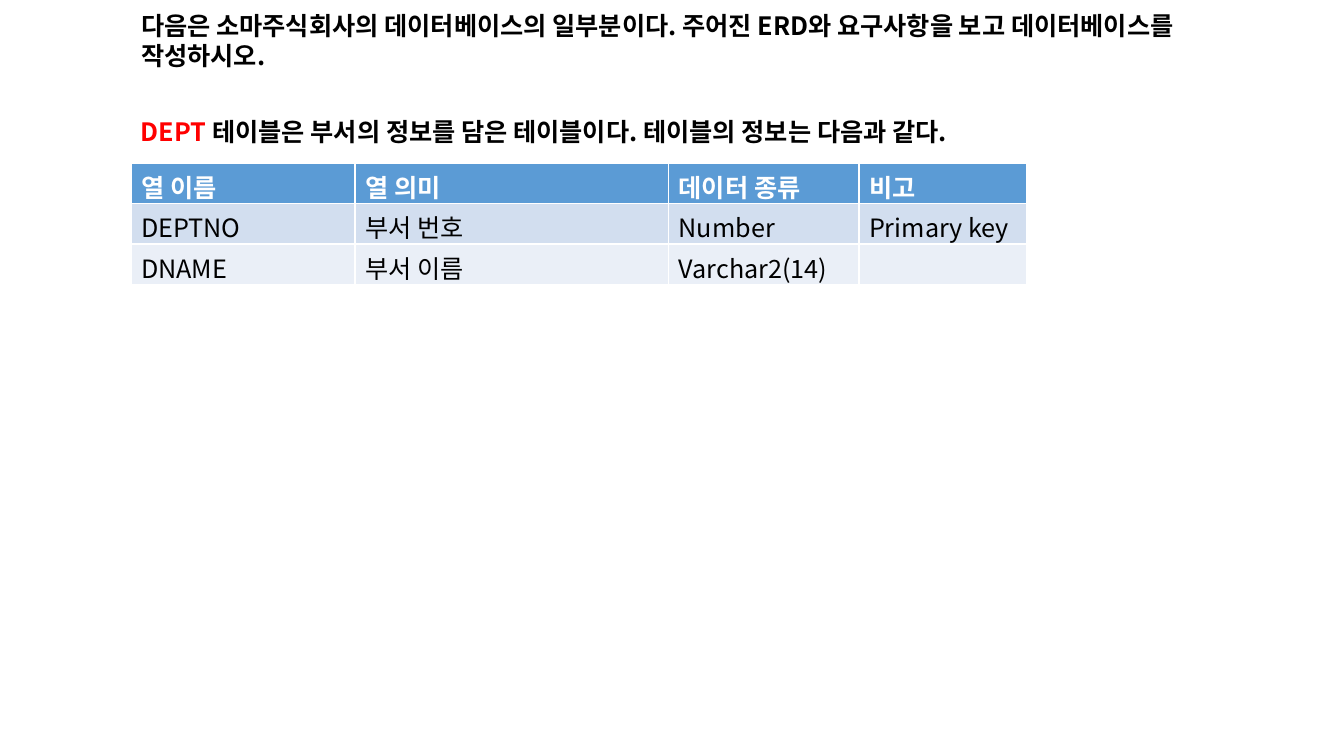
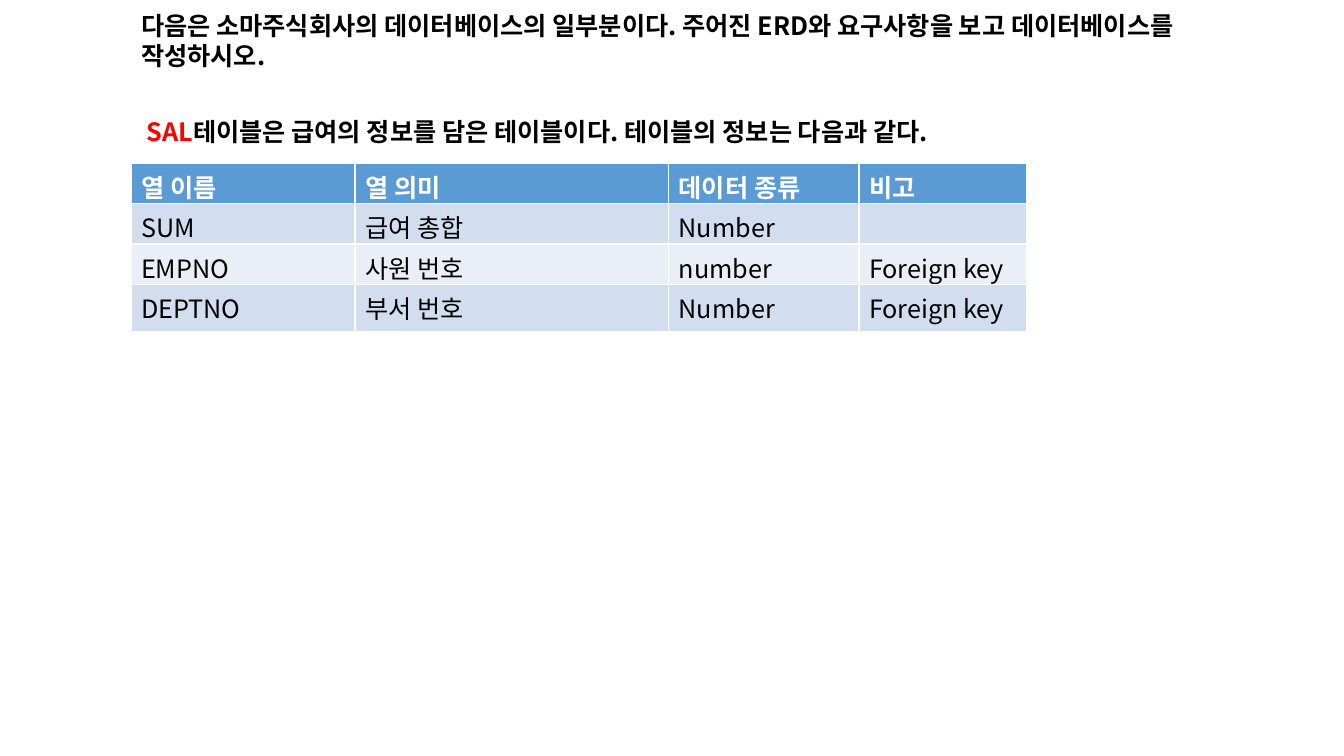
from pptx import Presentation
from pptx.dml.color import RGBColor
from pptx.enum.text import MSO_ANCHOR, MSO_AUTO_SIZE, PP_ALIGN
from pptx.util import Inches, Pt
from lxml.etree import SubElement
from pptx.oxml.ns import qn

COLORS = {
    "text": "000000",
    "accent": "FF0000",
    "header_text": "FFFFFF",
    "header": "5B9BD5",
    "band_dark": "D2DEEF",
    "band_light": "EAEFF7",
}
TITLE = "다음은 소마주식회사의 데이터베이스의 일부분이다. 주어진 ERD와 요구사항을 보고 데이터베이스를 작성하시오."
HEADERS = ("열 이름", "열 의미", "데이터 종류", "비고")
TABLE_COLUMNS = (2, 2.8, 1.7, 1.5)
LEFT, TEXT_WIDTH = 1.17, 9.72
ROW, LAST_ROW = 3.5, 4.7


class SlideBuilder:
    font = "Noto Sans CJK KR"
    size = Pt(18)

    def __init__(self, deck):
        self.deck = deck
        self.column = deck.slide_width / 12
        self.row = deck.slide_height / 75

    def across(self, columns):
        return round(columns * self.column)

    def down(self, rows):
        return round(rows * self.row)

    def color(self, name):
        return RGBColor.from_string(COLORS[name])

    def add_page(self):
        self.page = self.deck.slides.add_slide(self.deck.slide_layouts[5])

    def style(self, span, color, bold):
        span.font.name = self.font
        span.font.size = self.size
        span.font.bold = bold
        span.font.color.rgb = self.color(color)
        SubElement(span.font._element, qn("a:ea")).set("typeface", self.font)

    def frame(self, box, top, height):
        box.left, box.top = self.across(LEFT), self.down(top)
        box.width, box.height = self.across(TEXT_WIDTH), self.down(height)
        frame = box.text_frame
        frame.word_wrap = True
        frame.auto_size = MSO_AUTO_SIZE.SHAPE_TO_FIT_TEXT
        frame.vertical_anchor = MSO_ANCHOR.TOP
        para = frame.paragraphs[0]
        para.alignment = PP_ALIGN.LEFT
        return para

    def add_title(self, text):
        para = self.frame(self.page.shapes.title, 0.5, 7.1)
        para.text = text
        self.style(para.runs[0], "text", True)

    def add_caption(self, name, text):
        box = self.page.shapes.add_textbox(0, 0, 0, 0)
        para = self.frame(box, 11.1, 4)
        for words, color in ((name, "accent"), (text, "text")):
            span = para.add_run()
            span.text = words
            self.style(span, color, True)

    def add_table(self, records, heights):
        rows = (HEADERS, *records)
        table = self.page.shapes.add_table(
            len(rows), len(HEADERS), self.across(LEFT), self.down(16.2),
            self.across(sum(TABLE_COLUMNS)), self.down(sum(heights)),
        ).table
        for column, width in zip(table.columns, TABLE_COLUMNS):
            column.width = self.across(width)
        for index, (row, height, texts) in enumerate(zip(table.rows, heights, rows)):
            row.height = self.down(height)
            header = index == 0
            band = "header" if header else "band_dark" if index % 2 else "band_light"
            for cell, text in zip(row.cells, texts):
                cell.fill.solid()
                cell.fill.fore_color.rgb = self.color(band)
                cell.text = text
                for span in cell.text_frame.paragraphs[0].runs:
                    self.style(span, "header_text" if header else "text", header)


TABLES = (
    ("DEPT ", "테이블은 부서의 정보를 담은 테이블이다. 테이블의 정보는 다음과 같다.", (
        ("DEPTNO", "부서 번호", "Number", "Primary key"),
        ("DNAME", "부서 이름", "Varchar2(14)", ""),
    ), (ROW, ROW, ROW)),
    (" SAL", "테이블은 급여의 정보를 담은 테이블이다. 테이블의 정보는 다음과 같다.", (
        ("SUM", "급여 총합", "Number", ""),
        ("EMPNO", "사원 번호", "number", "Foreign key"),
        ("DEPTNO", "부서 번호", "Number", "Foreign key"),
    ), (ROW, ROW, ROW, LAST_ROW)),
)

deck = Presentation()
deck.slide_width, deck.slide_height = Inches(13.33), Inches(7.5)
builder = SlideBuilder(deck)
for name, caption, records, heights in TABLES:
    builder.add_page()
    builder.add_title(TITLE)
    builder.add_caption(name, caption)
    builder.add_table(records, heights)
deck.save("out.pptx")
